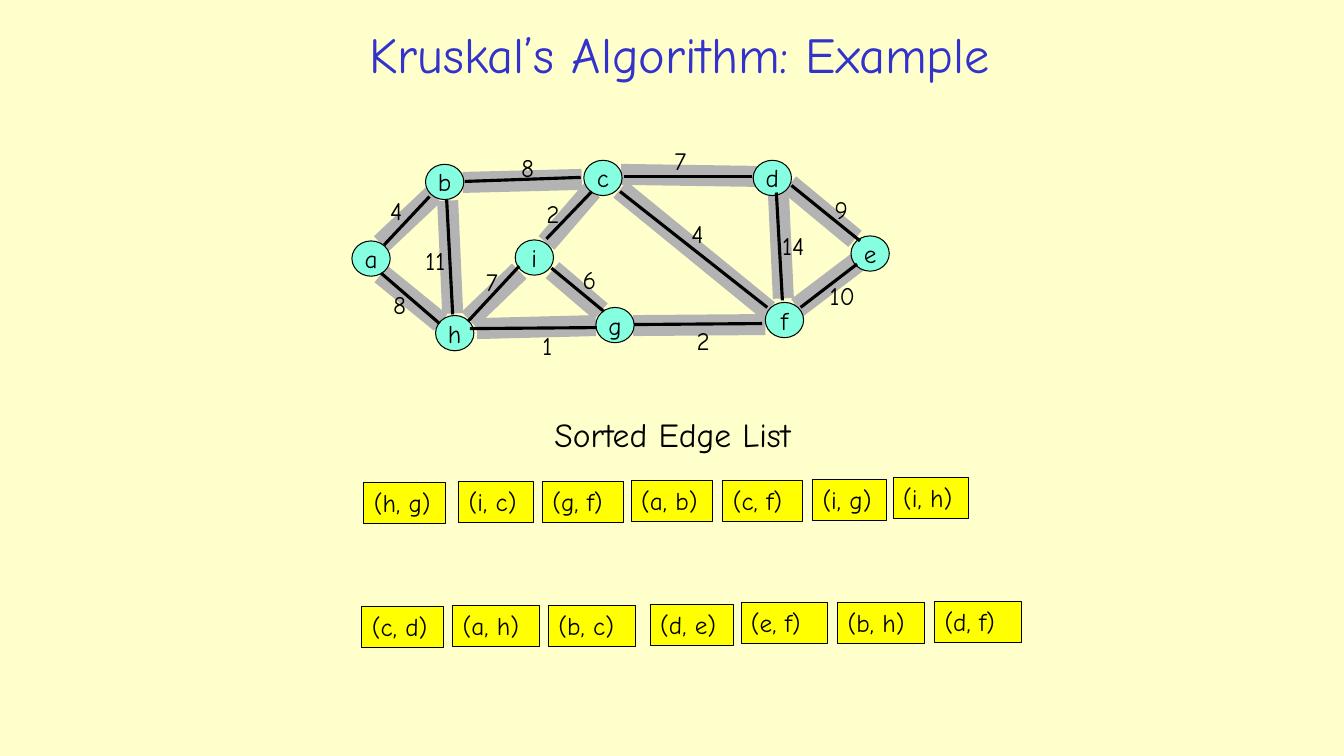
from dataclasses import dataclass

from lxml import etree
from pptx import Presentation
from pptx.dml.color import RGBColor
from pptx.enum.shapes import MSO_CONNECTOR, MSO_SHAPE
from pptx.enum.text import MSO_ANCHOR, PP_ALIGN
from pptx.oxml.ns import qn
from pptx.util import Inches, Pt

OVAL, RECT = MSO_SHAPE.OVAL, MSO_SHAPE.RECTANGLE
STRAIGHT = MSO_CONNECTOR.STRAIGHT
LEFT, CENTER = PP_ALIGN.LEFT, PP_ALIGN.CENTER
TOP, MIDDLE = MSO_ANCHOR.TOP, MSO_ANCHOR.MIDDLE


@dataclass(frozen=True)
class Theme:
    font: str = "Comic Neue"
    paper: str = "FFFFCC"
    title: str = "3333CC"
    ink: str = "000000"
    band: str = "B3B3B3"
    node: str = "85FFE0"
    chip: str = "FFFF00"
    title_size: float = 36
    head_size: float = 24
    text_size: float = 18
    band_width: float = 15
    edge_width: float = 2.25
    rim: float = 0.75


THEME = Theme()

TITLE = "Kruskal’s Algorithm: Example"
HEADING = "Sorted Edge List"
NODE_W, NODE_H = 0.38, 0.35
ROW_H = 0.4

# Top left corner of each node
NODES = {
    "a": (3.49, 2.39), "b": (4.22, 1.63), "c": (5.79, 1.59),
    "h": (4.32, 3.13), "g": (5.91, 3.05), "f": (7.59, 3.0),
    "d": (7.47, 1.59), "e": (8.44, 2.34), "i": (5.11, 2.38),
}

# Weight, its corner, grey band ends, black line ends
EDGES = [
    ("8", (3.8, 2.82), (3.78, 2.72, 4.37, 3.2), (3.78, 2.71, 4.36, 3.21)),
    ("4", (3.77, 1.89), (3.78, 2.42, 4.3, 1.93), (3.81, 2.43, 4.26, 1.95)),
    ("11", (4.12, 2.38), (4.49, 3.11, 4.44, 1.99), (4.49, 3.12, 4.43, 1.98)),
    ("8", (5.07, 1.46), (4.59, 1.81, 5.77, 1.78), (5.76, 1.76, 4.61, 1.8)),
    ("7", (6.59, 1.39), (6.16, 1.73, 7.51, 1.75), (7.46, 1.75, 6.19, 1.75)),
    ("9", (8.18, 1.88), (7.83, 1.83, 8.48, 2.37), (8.53, 2.39, 7.85, 1.84)),
    ("1", (5.28, 3.23), (4.73, 3.26, 5.91, 3.23), (5.92, 3.25, 4.66, 3.26)),
    ("2", (6.81, 3.18), (6.28, 3.23, 7.59, 3.22), (7.56, 3.21, 6.29, 3.22)),
    ("10", (8.13, 2.73), (7.91, 3.05, 8.53, 2.58), (7.94, 3.05, 8.5, 2.62)),
    ("14", (7.66, 2.24), (7.77, 2.96, 7.72, 1.9), (7.76, 2.98, 7.7, 1.91)),
    ("2", (5.32, 1.92), (5.42, 2.41, 5.87, 1.89), (5.42, 2.37, 5.87, 1.9)),
    ("7", (4.72, 2.59), (4.65, 3.17, 5.15, 2.69), (4.64, 3.19, 5.15, 2.64)),
    ("6", (5.68, 2.57), (5.96, 3.09, 5.48, 2.68), (5.47, 2.66, 5.99, 3.09)),
    ("4", (6.76, 2.12), (6.15, 1.88, 7.62, 3.08), (6.15, 1.9, 7.61, 3.05)),
]

# Edge, left, top, width
SORTED = [
    ("(h, g)", 3.61, 4.79, 0.81), ("(i, c)", 4.55, 4.78, 0.74),
    ("(g, f)", 5.38, 4.78, 0.8), ("(a, b)", 6.26, 4.77, 0.81),
    ("(c, f)", 7.17, 4.77, 0.79), ("(i, g)", 8.06, 4.76, 0.73),
    ("(i, h)", 8.86, 4.74, 0.75),
    ("(c, d)", 3.59, 6.02, 0.81), ("(a, h)", 4.49, 6.01, 0.86),
    ("(b, c)", 5.44, 6.01, 0.86), ("(d, e)", 6.45, 6.0, 0.83),
    ("(e, f)", 7.35, 5.98, 0.86), ("(b, h)", 8.31, 5.98, 0.86),
    ("(d, f)", 9.27, 5.97, 0.86),
]


def rgb(code):
    return RGBColor.from_string(code)


def write(shape, text, size=THEME.text_size, color=THEME.ink,
          align=LEFT, anchor=TOP, wrap=True):
    frame = shape.text_frame
    frame.word_wrap = wrap
    frame.vertical_anchor = anchor
    para = frame.paragraphs[0]
    para.alignment = align
    run = para.add_run()
    run.text = text
    run.font.name = THEME.font
    run.font.size = Pt(size)
    run.font.color.rgb = rgb(color)


def add_line(slide, ends, color, width):
    line = slide.shapes.add_connector(STRAIGHT, *map(Inches, ends))
    line.line.color.rgb = rgb(color)
    line.line.width = Pt(width)
    etree.SubElement(line._element.spPr, qn("a:effectLst"))


def add_box(slide, kind, place, fill):
    box = slide.shapes.add_shape(kind, *map(Inches, place))
    box.shadow.inherit = False
    box.fill.solid()
    box.fill.fore_color.rgb = rgb(fill)
    box.line.color.rgb = rgb(THEME.ink)
    box.line.width = Pt(THEME.rim)
    return box


def add_label(slide, text, place, size=THEME.text_size):
    write(slide.shapes.add_textbox(*map(Inches, place)), text, size)


def add_title(slide):
    title = slide.shapes.title
    title.left, title.top = Inches(1.97), Inches(0.15)
    title.width, title.height = Inches(9.54), Inches(0.76)
    write(title, TITLE, THEME.title_size, THEME.title, CENTER, MIDDLE)


def add_graph(slide):
    for _, _, band, _ in EDGES:
        add_line(slide, band, THEME.band, THEME.band_width)
    for name, spot in NODES.items():
        node = add_box(slide, OVAL, (*spot, NODE_W, NODE_H), THEME.node)
        write(node, name, align=CENTER, anchor=MIDDLE, wrap=False)
    for _, _, _, ends in EDGES:
        add_line(slide, ends, THEME.ink, THEME.edge_width)
    for weight, spot, _, _ in EDGES:
        width = 0.35 if len(weight) == 1 else 0.47
        add_label(slide, weight, (*spot, width, ROW_H))


def add_list(slide):
    add_label(slide, HEADING, (5.4, 4.06, 2.89, 0.5), THEME.head_size)
    for edge, left, top, width in SORTED:
        chip = add_box(slide, RECT, (left, top, width, ROW_H), THEME.chip)
        write(chip, edge)


def main():
    deck = Presentation()
    deck.slide_width, deck.slide_height = Inches(13.33), Inches(7.5)
    slide = deck.slides.add_slide(deck.slide_layouts.get_by_name("Title Only"))
    slide.background.fill.solid()
    slide.background.fill.fore_color.rgb = rgb(THEME.paper)
    add_title(slide)
    add_graph(slide)
    add_list(slide)
    deck.save("out.pptx")


if __name__ == "__main__":
    main()
